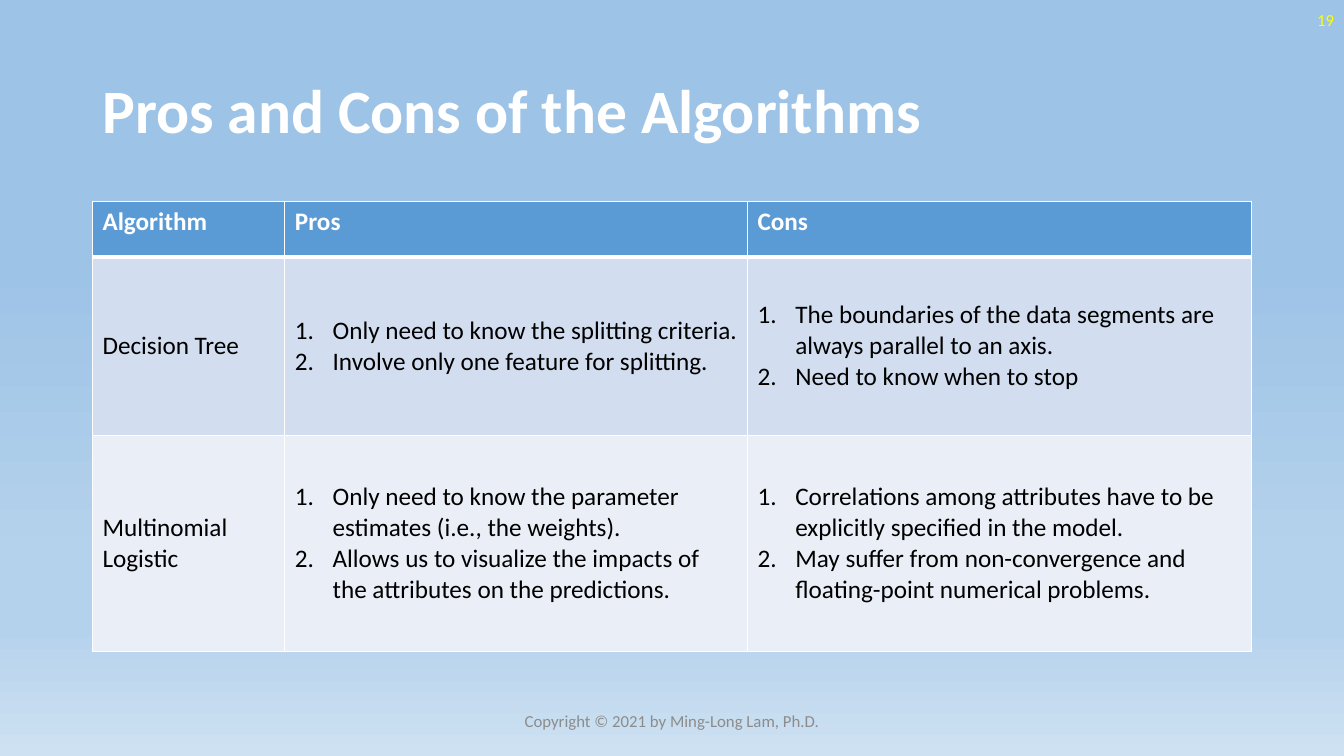
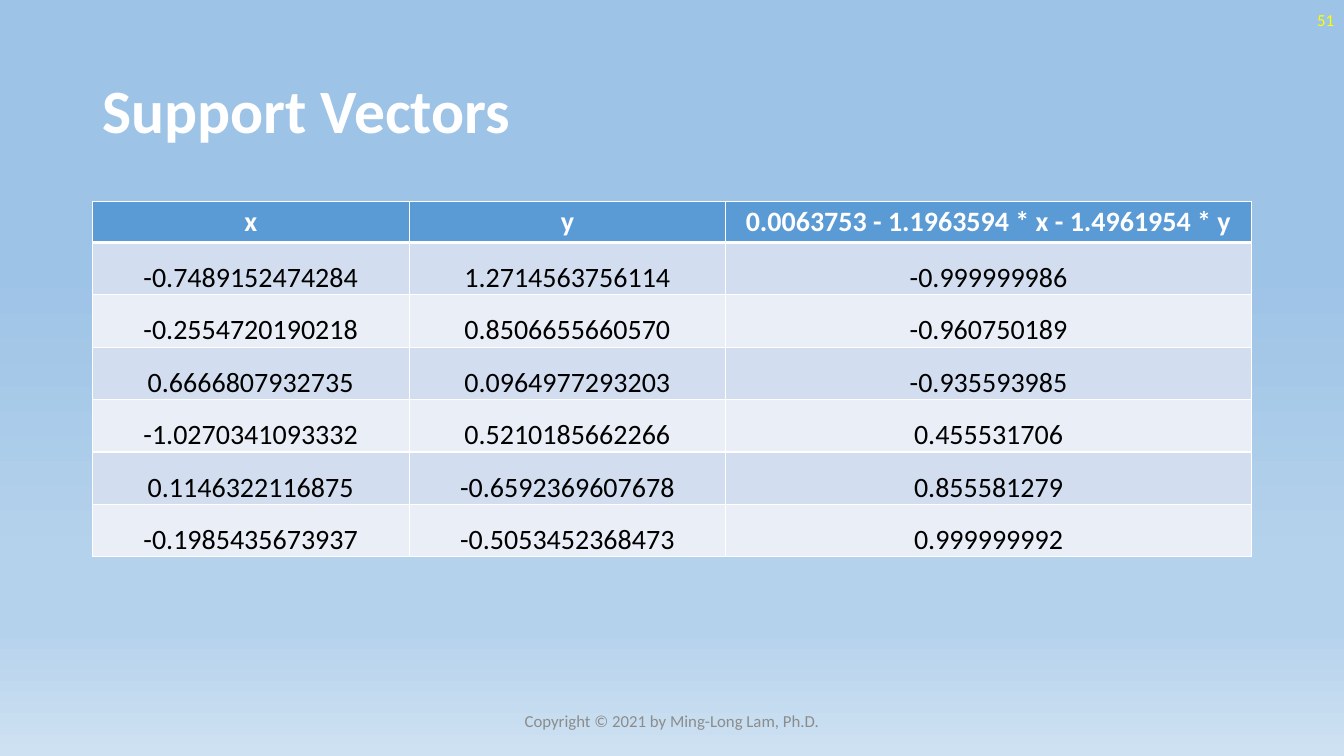
from lxml.etree import SubElement
from pptx import Presentation
from pptx.dml.color import RGBColor
from pptx.enum.text import MSO_ANCHOR, PP_ALIGN
from pptx.oxml import parse_xml
from pptx.oxml.ns import nsdecls, qn
from pptx.util import Cm, Pt

COLORS = {
    "sky": "9DC3E6", "haze": "B5D2EC", "horizon": "CEE1F2",
    "header": "5B9BD5", "band_dark": "D2DEEF", "band_light": "EAEFF7",
    "white": "FFFFFF", "black": "000000", "page": "FFFF00", "footer": "8C8C8C",
}
SKY_STOPS = [(35, "sky"), (74, "haze"), (83, "haze"), (100, "horizon")]
FONT = "Calibri"
COPYRIGHT = "Copyright © 2021 by Ming-Long Lam, Ph.D."

# Boxes in cm: left, top, width, height
SLIDE_SIZE = (33.87, 19.05)
TITLE_BOX = (2.33, 1.02, 29.21, 3.68)
PAGE_BOX = (26.25, 0, 7.62, 1.01)
FOOTER_BOX = (11.22, 17.66, 11.43, 1.01)
TABLE_CORNER = (2.33, 5.07)

PROS_AND_CONS = [
    ["Algorithm", "Pros", "Cons"],
    ["Decision Tree",
     ["Only need to know the splitting criteria.",
      "Involve only one feature for splitting."],
     ["The boundaries of the data segments are always parallel to an axis.",
      "Need to know when to stop"]],
    ["Multinomial Logistic",
     ["Only need to know the parameter estimates (i.e., the weights).",
      "Allows us to visualize the impacts of the attributes on the predictions."],
     ["Correlations among attributes have to be explicitly specified in the model.",
      "May suffer from non-convergence and floating-point numerical problems."]],
]
SUPPORT_VECTORS = [
    ["x", "y", "0.0063753 - 1.1963594 * x - 1.4961954 * y"],
    ["-0.7489152474284", "1.2714563756114", "-0.999999986"],
    ["-0.2554720190218", "0.8506655660570", "-0.960750189"],
    ["0.6666807932735", "0.0964977293203", "-0.935593985"],
    ["-1.0270341093332", "0.5210185662266", "0.455531706"],
    ["0.1146322116875", "-0.6592369607678", "0.855581279"],
    ["-0.1985435673937", "-0.5053452368473", "0.999999992"],
]


def write_text(frame, text, size=18, color="black", bold=False,
               align=PP_ALIGN.LEFT, spacing=None):
    """Write a string, or a list of strings as a numbered list."""
    numbered = isinstance(text, list)
    for index, line in enumerate(text if numbered else [text]):
        paragraph = frame.add_paragraph() if index else frame.paragraphs[0]
        if numbered:
            properties = paragraph._p.get_or_add_pPr()
            properties.set("marL", str(Cm(0.95)))
            properties.set("indent", str(-Cm(0.95)))
            SubElement(properties, qn("a:buAutoNum"), type="arabicPeriod")
        paragraph.alignment = align
        if spacing:
            paragraph.line_spacing = spacing
        run = paragraph.add_run()
        run.text = line
        run.font.name = FONT
        run.font.size = Pt(size)
        run.font.bold = bold
        run.font.color.rgb = RGBColor.from_string(COLORS[color])


def paint_background(master):
    fill = master.background.fill
    fill.gradient()
    fill.gradient_angle = 270
    stops = master.element.find(".//" + qn("a:gsLst"))
    stops.clear()
    for percent, color in SKY_STOPS:
        stop = SubElement(stops, qn("a:gs"), pos=str(percent * 1000))
        SubElement(stop, qn("a:srgbClr"), val=COLORS[color])


def add_label(slide, box, text, **text_format):
    frame = slide.shapes.add_textbox(*map(Cm, box)).text_frame
    frame.word_wrap = True
    frame.vertical_anchor = MSO_ANCHOR.MIDDLE
    write_text(frame, text, size=12, **text_format)


def add_base_slide(prs, title, page):
    """Title, page number and footer shared by every slide."""
    slide = prs.slides.add_slide(prs.slide_layouts.get_by_name("Title Only"))
    heading = slide.shapes.title
    heading.left, heading.top, heading.width, heading.height = map(Cm, TITLE_BOX)
    heading.text_frame.vertical_anchor = MSO_ANCHOR.MIDDLE
    write_text(heading.text_frame, title, size=44, color="white", bold=True,
               spacing=0.9)
    add_label(slide, PAGE_BOX, page, color="page", align=PP_ALIGN.RIGHT)
    add_label(slide, FOOTER_BOX, COPYRIGHT, color="footer", align=PP_ALIGN.CENTER)
    return slide


def set_borders(cell, top, bottom):
    widths = {"L": 1, "R": 1, "T": top, "B": bottom}
    for index, (side, width) in enumerate(widths.items()):
        border = parse_xml(
            f'<a:ln{side} {nsdecls("a")} w="{Pt(width)}"><a:solidFill>'
            f'<a:srgbClr val="{COLORS["white"]}"/></a:solidFill></a:ln{side}>')
        cell._tc.get_or_add_tcPr().insert(index, border)


def add_banded_table(slide, corner, rows, widths, heights, margins=None,
                     header_anchor=MSO_ANCHOR.MIDDLE, body_spacing=None,
                     **text_format):
    box = (*corner, sum(widths), sum(heights))
    table = slide.shapes.add_table(len(rows), len(widths), *map(Cm, box)).table
    for column, width in zip(table.columns, widths):
        column.width = Cm(width)
    for row_index, (row, height, texts) in enumerate(
            zip(table.rows, heights, rows)):
        row.height = Cm(height)
        is_header = row_index == 0
        band = "header" if is_header else (
            "band_dark" if row_index % 2 else "band_light")
        for cell, text in zip(row.cells, texts):
            cell.fill.solid()
            cell.fill.fore_color.rgb = RGBColor.from_string(COLORS[band])
            cell.vertical_anchor = header_anchor if is_header else MSO_ANCHOR.MIDDLE
            if margins:
                (cell.margin_left, cell.margin_top,
                 cell.margin_right, cell.margin_bottom) = map(Cm, margins)
            # Thick rule between header and body
            set_borders(cell, top=3 if row_index == 1 else 1,
                        bottom=3 if is_header else 1)
            write_text(cell.text_frame, text, bold=is_header,
                       color="white" if is_header else "black",
                       spacing=None if is_header else body_spacing,
                       **text_format)


def build_pros_and_cons(prs):
    slide = add_base_slide(prs, "Pros and Cons of the Algorithms", "19")
    add_banded_table(slide, TABLE_CORNER, PROS_AND_CONS,
                     widths=[4.85, 11.66, 12.7], heights=[1.4, 4.5, 5.44],
                     header_anchor=MSO_ANCHOR.TOP)


def build_support_vectors(prs):
    slide = add_base_slide(prs, "Support Vectors", "51")
    body_rows = len(SUPPORT_VECTORS) - 1
    add_banded_table(slide, TABLE_CORNER, SUPPORT_VECTORS,
                     widths=[7.98, 7.98, 13.25],
                     heights=[1.04] + [1.32] * body_rows,
                     margins=(0.03, 0.03, 0.03, 0), body_spacing=1.5,
                     size=20, align=PP_ALIGN.CENTER)


def main():
    prs = Presentation()
    prs.slide_width, prs.slide_height = map(Cm, SLIDE_SIZE)
    paint_background(prs.slide_master)
    build_pros_and_cons(prs)
    build_support_vectors(prs)
    prs.save("out.pptx")


if __name__ == "__main__":
    main()
